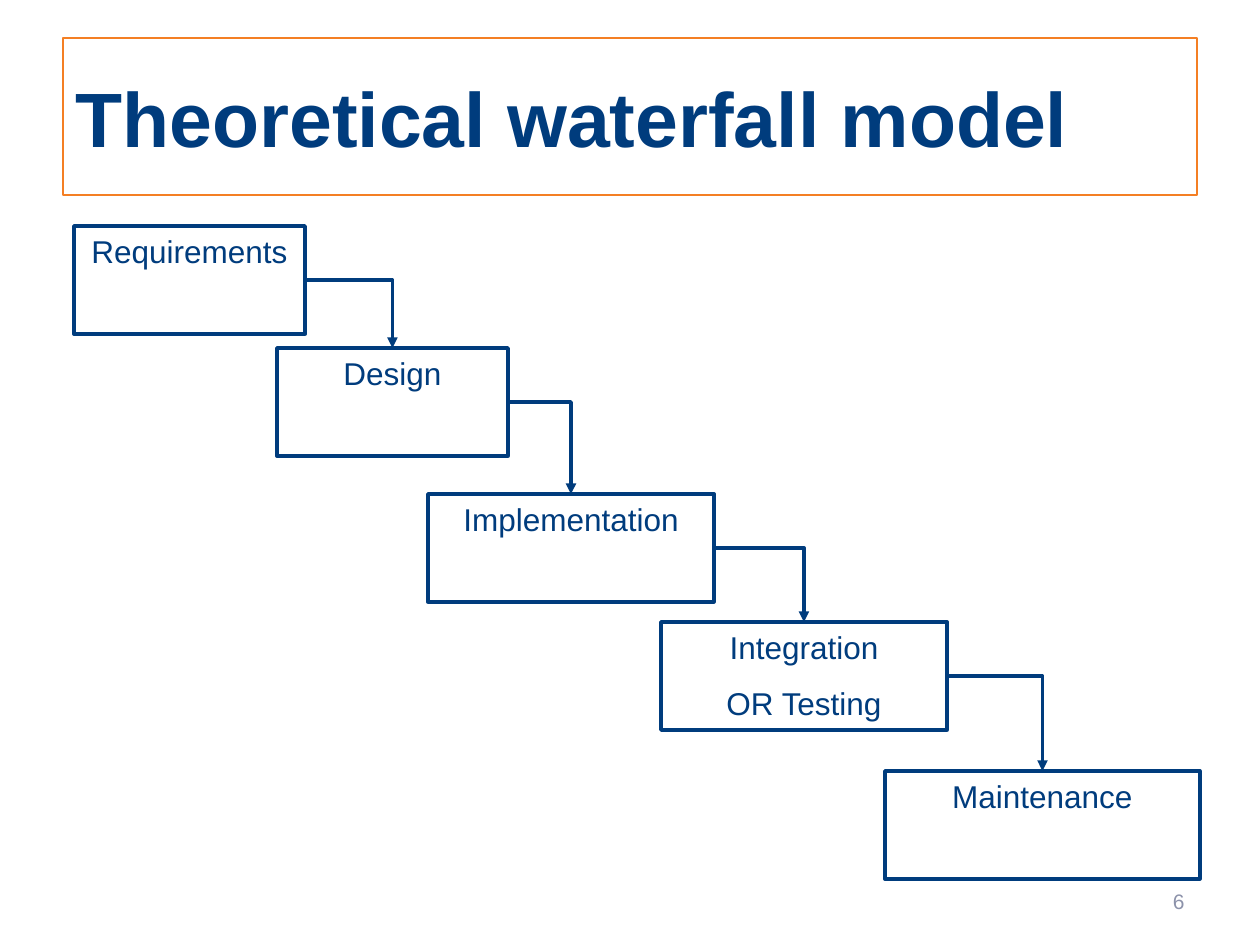
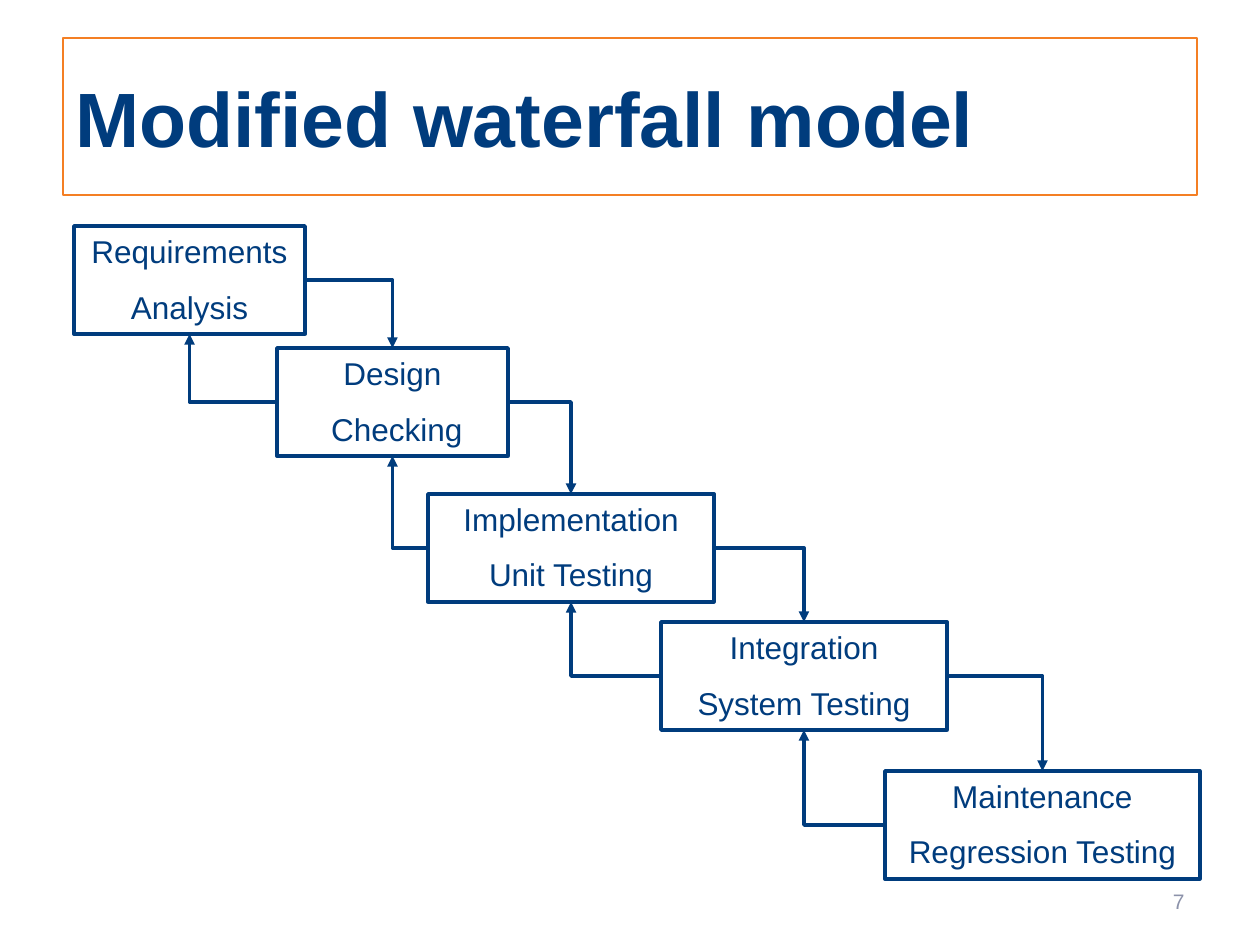
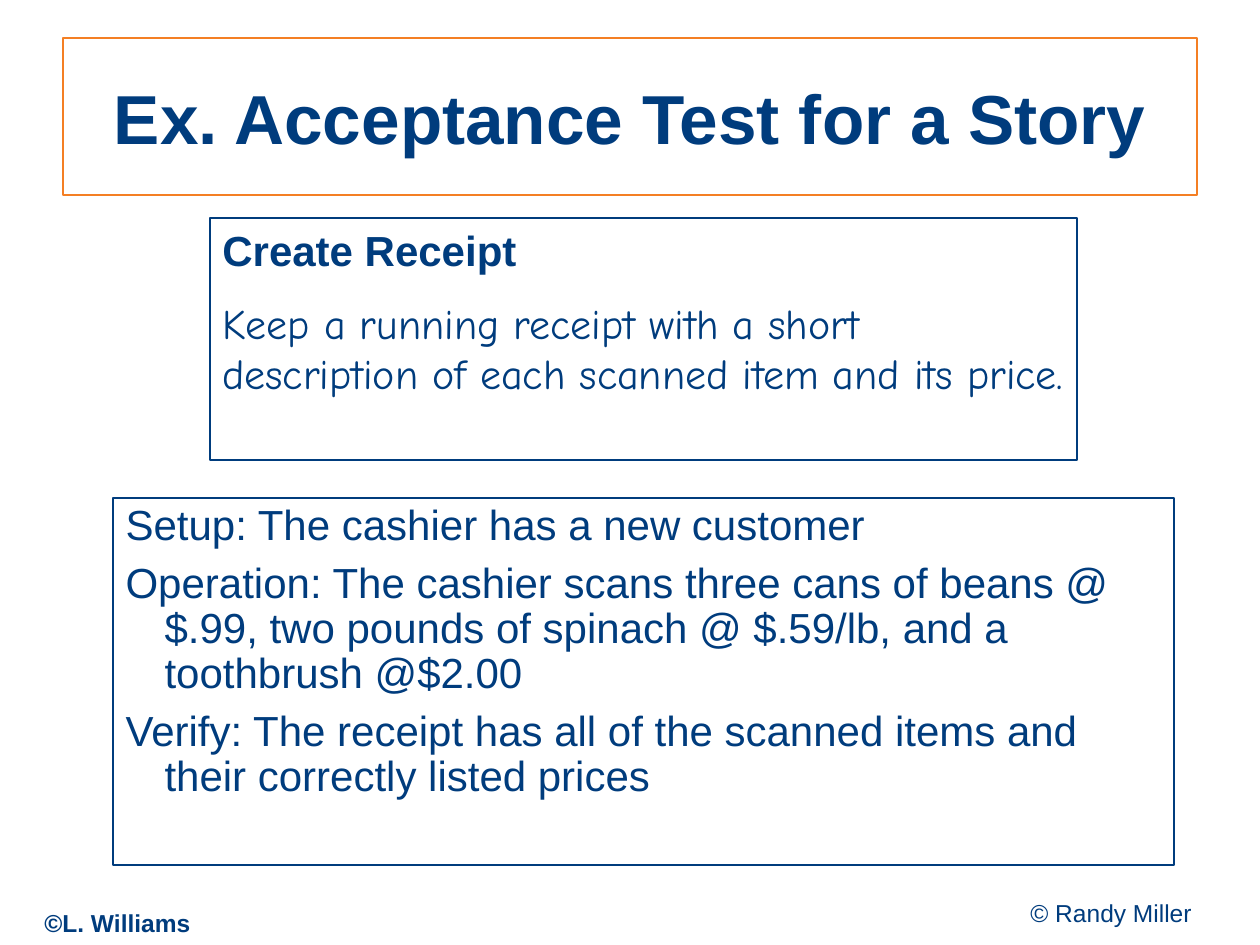
import pptx
import pptx.util
import pptx.dml.color
import pptx.enum.shapes
import pptx.enum.text
import pptx.oxml
import pptx.oxml.ns

# Content
FLOWS = [
    ("Theoretical waterfall model", "6", False,
     [["Requirements"], ["Design"], ["Implementation"],
      ["Integration", "OR Testing"], ["Maintenance"]]),
    ("Modified waterfall model", "7", True,
     [["Requirements", "Analysis"], ["Design", " Checking"],
      ["Implementation", "Unit Testing"], ["Integration", "System Testing"],
      ["Maintenance", "Regression Testing"]]),
]
STORY = "Ex. Acceptance Test for a Story"
CARD = ["Create Receipt",
        "Keep a running receipt with a short description of each scanned "
        "item and its price."]
TEST = [
    "Setup: The cashier has a new customer",
    "Operation: The cashier scans three cans of beans @ $.99, two pounds of "
    "spinach @ $.59/lb, and a toothbrush @$2.00",
    "Verify: The receipt has all of the scanned items and their correctly "
    "listed prices",
]

# Shared look and places, in px (126 to the inch)
NAVY, ORANGE, GREY = "003C7D", "F47F24", "8C92AA"
FONT, HAND = "Arial", "Comic Neue"
STEPS = [(74, 226, 231), (277, 348, 231), (428, 494, 286),
         (661, 622, 286), (885, 771, 315)]
STEP_H = 108
HEAD = (63, 38, 1134, 157)
TOP, LEFT, BOTTOM, RIGHT = range(4)
ALIGN = pptx.enum.text.PP_ALIGN
ANCHOR = pptx.enum.text.MSO_ANCHOR
SHAPE = pptx.enum.shapes.MSO_SHAPE
ELBOW = pptx.enum.shapes.MSO_CONNECTOR.ELBOW
qn = pptx.oxml.ns.qn


def px(num):
    return pptx.util.Emu(round(num * 914400 / 126))


def tint(code):
    return pptx.dml.color.RGBColor.from_string(code)


def edge(line, code, width):
    line.color.rgb = tint(code)
    line.width = pptx.util.Pt(width)


def place(item, spot):
    item.left, item.top, item.width, item.height = map(px, spot)


def node(parent, tag):
    return pptx.oxml.ns.qn(tag) and parent.makeelement(qn(tag), {})


def write(item, rows, size=18, color=NAVY, bold=False, font=FONT,
          align=ALIGN.LEFT, anchor=ANCHOR.TOP, gap=0, lead=None, hang=0):
    """Fill a shape with one paragraph for each row."""
    frame = item.text_frame
    frame.word_wrap = True
    frame.auto_size = pptx.enum.text.MSO_AUTO_SIZE.NONE
    frame.vertical_anchor = anchor
    for k, row in enumerate(rows):
        para = frame.paragraphs[0] if k == 0 else frame.add_paragraph()
        para.alignment = align
        para.space_before = pptx.util.Pt(gap)
        if lead:
            para.line_spacing = lead
        if hang:
            props = para._p.get_or_add_pPr()
            props.set("marL", str(px(hang)))
            props.set("indent", str(-px(hang)))
            props.append(node(props, "a:buNone"))
        run = para.add_run()
        run.text = row
        run.font.size = pptx.util.Pt(size)
        run.font.name = font
        run.font.bold = bold
        run.font.color.rgb = tint(color)
    return frame


def start(deck, layout, title, **form):
    slide = deck.slides.add_slide(deck.slide_layouts[layout])
    head = slide.shapes.title
    place(head, HEAD)
    edge(head.line, ORANGE, 1)
    write(head, [title], bold=True, anchor=ANCHOR.MIDDLE, **form)
    return slide


def frame_box(slide, spot, width):
    box = slide.shapes.add_shape(SHAPE.RECTANGLE, *map(px, spot))
    box.shadow.inherit = False
    box.fill.background()
    edge(box.line, NAVY, width)
    return box


def label(slide, spot, text, **form):
    write(slide.shapes.add_textbox(*map(px, spot)), [text], **form)


def join(slide, start_box, out, end_box, into):
    """One-bend arrow between two box sides."""
    link = slide.shapes.add_connector(ELBOW, 0, 0, 0, 0)
    link.begin_connect(start_box, out)
    link.end_connect(end_box, into)
    edge(link.line, NAVY, 2)
    props = link._element.spPr
    props.find(qn("a:prstGeom")).set("prst", "bentConnector2")
    if out == LEFT:  # a half turn stands in for both flips
        turn = props.find(qn("a:xfrm"))
        for flip in ("flipH", "flipV"):
            turn.attrib.pop(flip, None)
        turn.set("rot", "10800000")
    line = props.find(qn("a:ln"))
    tip = node(line, "a:tailEnd")
    tip.set("type", "triangle")
    line.append(tip)
    props.append(node(props, "a:effectLst"))


def flow(deck, title, page, back, steps):
    slide = start(deck, 5, title, size=44)
    boxes = []
    for (left, top, wide), rows in zip(STEPS, steps):
        box = frame_box(slide, (left, top, wide, STEP_H), 2)
        write(box, rows, align=ALIGN.CENTER, gap=10)
        boxes.append(box)
    for prev, nxt in zip(boxes, boxes[1:]):
        join(slide, prev, RIGHT, nxt, TOP)
        if back:
            join(slide, nxt, LEFT, prev, BOTTOM)
    label(slide, (903, 876, 294, 50), page, size=12, color=GREY,
          align=ALIGN.RIGHT, anchor=ANCHOR.MIDDLE)


def story(deck):
    slide = start(deck, 1, STORY, size=39.6, align=ALIGN.CENTER)
    # Story card: bold name, handwritten text
    card = frame_box(slide, (210, 218, 867, 242), 1)
    frame = write(card, CARD, size=24, gap=13)
    frame.paragraphs[0].runs[0].font.bold = True
    frame.paragraphs[1].runs[0].font.name = HAND
    # Test steps
    body = slide.placeholders[1]
    place(body, (113, 498, 1061, 367))
    edge(body.line, NAVY, 0.75)
    write(body, TEST, size=24, gap=7, lead=0.9, hang=39)
    # Credits
    label(slide, (1018, 892, 242, 53), "© Randy Miller", size=14)
    label(slide, (32, 902, 189, 43), "©L. Williams", size=14, bold=True)


def main():
    deck = pptx.Presentation()
    deck.slide_width, deck.slide_height = px(1260), px(945)
    for item in FLOWS:
        flow(deck, *item)
    story(deck)
    deck.save("out.pptx")


if __name__ == "__main__":
    main()
